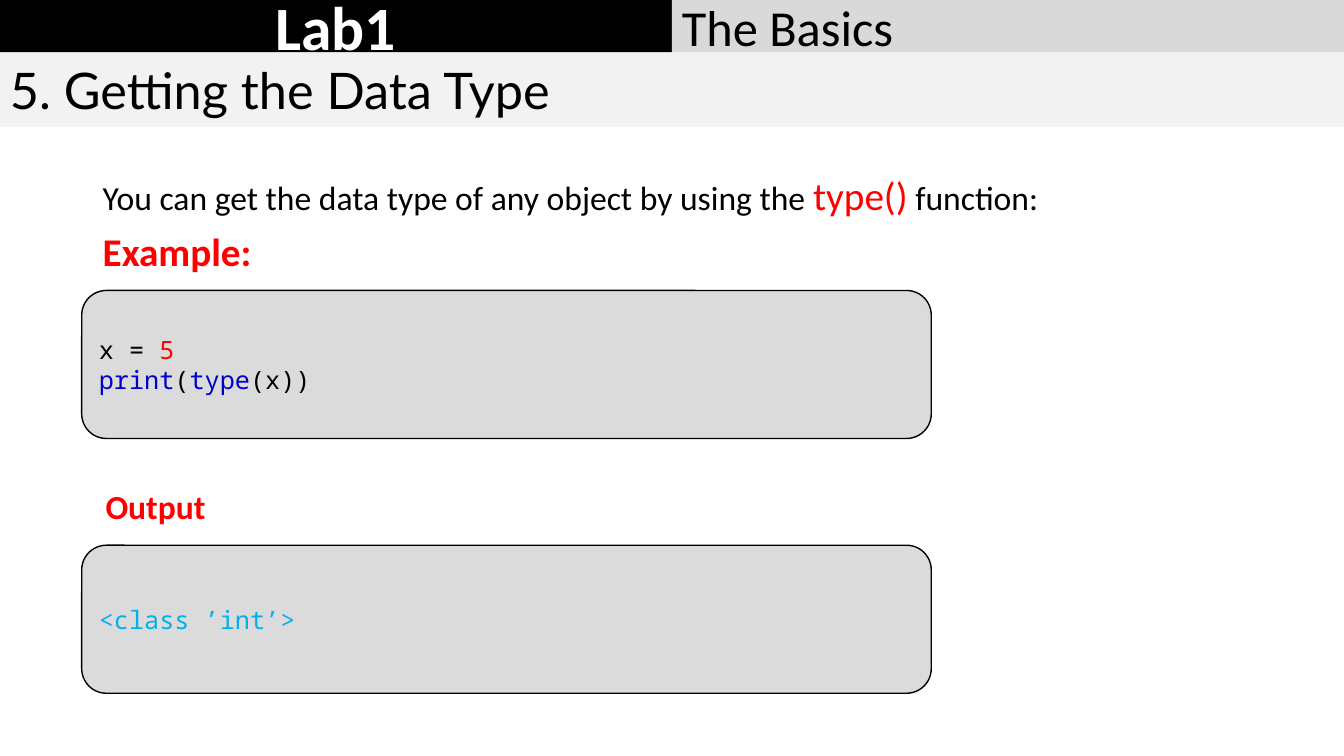
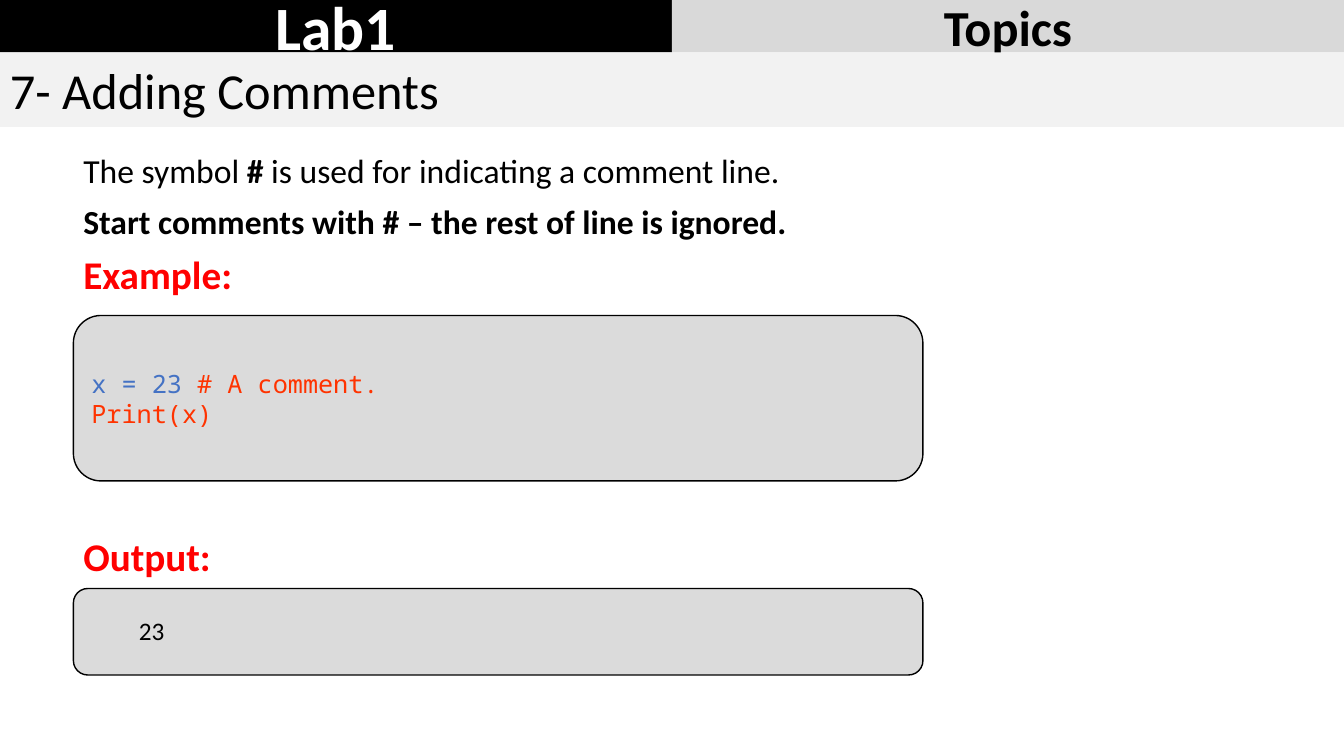
from pptx import Presentation
from pptx.dml.color import RGBColor as Rgb
from pptx.enum.shapes import MSO_SHAPE as Geo
from pptx.enum.text import MSO_ANCHOR as Anchor, PP_ALIGN as Align
from pptx.util import Cm, Pt

WIDE, HIGH = 33.87, 19.05
BAR, BAND = 1.32, 1.88

HUES = {
    "black": "000000", "white": "FFFFFF", "bar": "D9D9D9", "band": "F2F2F2",
    "panel": "DBDBDB", "red": "FF0000", "key": "0000CD", "sky": "00B0F0",
    "blue": "4472C4", "note": "FF3300",
}

BODY = {"name": "Calibri", "size": Pt(24), "hue": "black"}
CODE = {"name": "Noto Sans Mono", "size": Pt(18), "hue": "black"}
HEAD = {"size": Pt(28), "hue": "red", "bold": True}
BOLD = {"bold": True}
RED, KEY = {"hue": "red"}, {"hue": "key"}
FLOW = {"line_spacing": 0.9, "space_before": Pt(10)}


def tint(name):
    return Rgb.from_string(HUES[name])


def write(frame, lines, base, form):
    """Fill a frame; each line is a list of (text, style changes)."""
    frame.word_wrap = True
    for i, line in enumerate(lines):
        para = frame.paragraphs[0] if i == 0 else frame.add_paragraph()
        for key, val in form.items():
            setattr(para, key, val)
        for text, style in line:
            run = para.add_run()
            run.text = text
            look = {**base, **style}
            run.font.color.rgb = tint(look.pop("hue"))
            for key, val in look.items():
                setattr(run.font, key, val)


def block(slide, geo, box, fill, lines, base, align=Align.LEFT, edge=None):
    shape = slide.shapes.add_shape(geo, *map(Cm, box))
    shape.shadow.inherit = False
    shape.fill.solid()
    shape.fill.fore_color.rgb = tint(fill)
    if edge:
        shape.line.color.rgb = tint(edge)
        shape.line.width = Pt(1)
    else:
        shape.line.fill.background()
    shape.text_frame.vertical_anchor = Anchor.MIDDLE
    write(shape.text_frame, lines, base, {"alignment": align})


def panel(slide, box, lines=()):
    block(slide, Geo.ROUNDED_RECTANGLE, box, "panel", lines, CODE, edge="black")


def label(slide, box, lines, base=BODY, form=None):
    area = slide.shapes.add_textbox(*map(Cm, box))
    write(area.text_frame, lines, base, form or {})
    return area.text_frame


def header(slide, topic, title, style=None, align=Align.LEFT, face="Calibri"):
    half = WIDE / 2
    big = {**BODY, "size": Pt(36)}
    lab = {"size": Pt(44), "hue": "white", "bold": True}
    bands = (
        ((0, 0, half, BAR), "black", "Lab1", lab, Align.CENTER),
        ((half, 0, half, BAR), "bar", topic, style or {}, align),
        ((0, BAR, WIDE, BAND), "band", title, {"name": face}, Align.LEFT),
    )
    for box, fill, text, look, side in bands:
        block(slide, Geo.RECTANGLE, box, fill, [[(text, look)]], big, side)


def types(slide):
    header(slide, "The Basics", "5. Getting the Data Type", face="Lato")
    label(slide, (2.34, 4.32, 29.21, 12.09), [
        [("You can get the data type of any object by using the ", {}),
         ("type()", {"size": Pt(28), "hue": "red"}),
         (" function:", {})],
        [("Example:", HEAD)],
    ], form=FLOW)
    left, width, tall = 2.06, 21.41, 3.73
    panel(slide, (left, 7.32, width, tall), [
        [("x = ", {}), ("5", RED)],
        [("print", KEY), ("(", {}), ("type", KEY), ("(x))", {})],
    ])
    panel(slide, (left, 13.74, width, tall),
          [[("<class ’int’>", {"hue": "sky"})]])
    label(slide, (2.41, 12.12, 4, 1.27), [[("Output", {**RED, **BOLD})]])


def notes(slide):
    header(slide, "Topics", "7- Adding Comments", BOLD, Align.CENTER)
    left, width = 1.85, 21.41
    text = label(slide, (left, 3.78, 29.21, 12.09), [
        [("The symbol ", {}), ("#", BOLD),
         (" is used for indicating a comment line.", {})],
        [("Start comments with # – the rest of line is ignored.", BOLD)],
        [("Example:", HEAD)],
        [("Output:", HEAD)],
    ], form=FLOW)
    text.paragraphs[-1].space_before = Pt(171)
    panel(slide, (left, 7.95, width, 4.17), [
        [("x = 23 ", {"hue": "blue"}), ("# A comment.", {"hue": "note"})],
        [("Print(x)", {"hue": "note"})],
    ])
    panel(slide, (left, 14.83, width, 2.18))
    label(slide, (3.25, 15.37, 5.97, 1.02), [[("23", {"size": Pt(18)})]])


def main():
    deck = Presentation()
    deck.slide_width, deck.slide_height = Cm(WIDE), Cm(HIGH)
    for build in (types, notes):
        build(deck.slides.add_slide(deck.slide_layouts[6]))
    deck.save("out.pptx")


if __name__ == "__main__":
    main()
